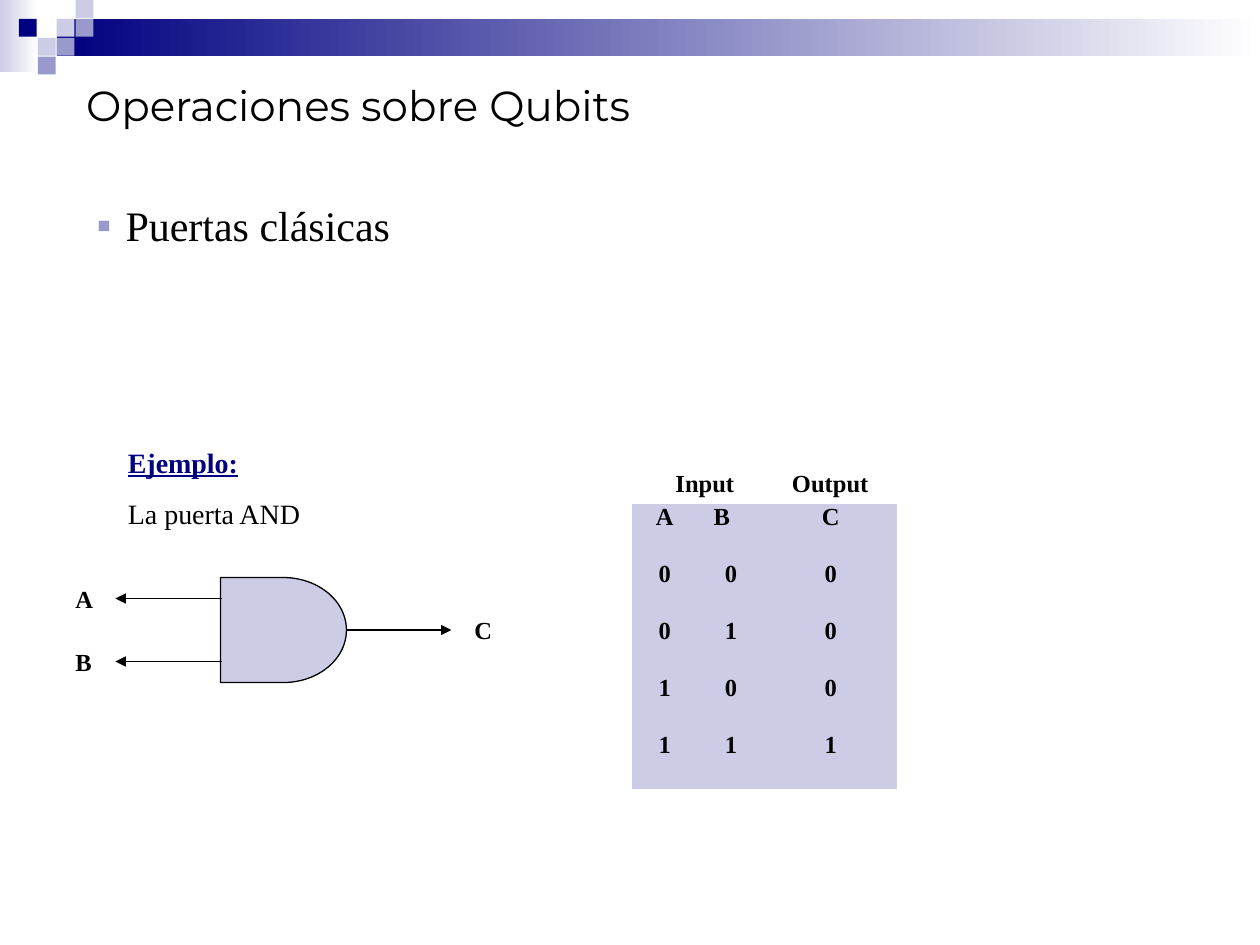
from dataclasses import dataclass

from lxml.etree import SubElement
from pptx import Presentation
from pptx.dml.color import RGBColor as Rgb
from pptx.enum.shapes import MSO_CONNECTOR as Link, MSO_SHAPE as Kind
from pptx.enum.text import MSO_ANCHOR as Anchor, MSO_AUTO_SIZE as Fit, PP_ALIGN as Align
from pptx.oxml.ns import qn
from pptx.util import Inches, Pt


@dataclass(frozen=True)
class Theme:
    """Colours, fonts and type sizes."""
    navy: Rgb = Rgb(0x00, 0x00, 0x80)
    mid: Rgb = Rgb(0x99, 0x99, 0xCC)
    pale: Rgb = Rgb(0xCC, 0xCC, 0xE6)
    white: Rgb = Rgb(0xFF, 0xFF, 0xFF)
    black: Rgb = Rgb(0x00, 0x00, 0x00)
    head: str = "Montserrat"
    body: str = "Times New Roman"
    large: int = 24
    lead: int = 16
    small: int = 14


THEME = Theme()
COLS, ROWS = 120, 90
WIDE, HIGH = 10, 7.5
PLAIN = "{2D5ABB26-0587-4C30-8999-92F81FD0307C}"


def span(*units):
    """Turn grid columns and rows into slide lengths."""
    return [Inches(unit * WIDE / COLS) for unit in units]


def style(para, size, font=THEME.body, bold=False, color=THEME.black, before=0):
    """Set the type of one paragraph."""
    para.font.size, para.font.name = Pt(size), font
    para.font.bold, para.font.color.rgb = bold, color
    para.space_before = Pt(before)


def block(slide, kind, box, color, fade=None):
    """Add a filled shape, faded to the right if asked."""
    shape = slide.shapes.add_shape(kind, *span(*box))
    shape.shadow.inherit = False
    shape.line.fill.background()
    if fade is None:
        shape.fill.solid()
        shape.fill.fore_color.rgb = color
    else:
        shape.fill.gradient()
        shape.fill.gradient_angle = 0
        for stop, tint in zip(shape.fill.gradient_stops, (color, fade)):
            stop.color.rgb = tint
    return shape


def note(slide, text, box):
    """Add a small bold label."""
    frame = slide.shapes.add_textbox(*span(*box)).text_frame
    frame.word_wrap = True
    frame.text = text
    style(frame.paragraphs[0], THEME.small, bold=True, before=8.8)


def arrow(slide, start, end):
    """Add a thin line with an arrowhead at its end."""
    line = slide.shapes.add_connector(Link.STRAIGHT, *span(*start, *end))
    line.line.color.rgb, line.line.width = THEME.black, Pt(0.75)
    SubElement(line.line._get_or_add_ln(), qn("a:tailEnd"), type="triangle")
    SubElement(line.element.spPr, qn("a:effectLst"))


def banner(slide, box):
    """Draw the fading bands and the squares at the top."""
    left, top, width, step = box
    block(slide, Kind.RECTANGLE, (left, top, 2 * step, 3.8 * step), THEME.pale, THEME.white)
    block(slide, Kind.RECTANGLE, (left + 3 * step, top + step, width - 3 * step, 3.5),
          THEME.navy, THEME.white)
    tiles = {
        THEME.pale: [(3, 1), (4, 0), (2, 2)],
        THEME.mid: [(4, 1), (3, 2), (2, 3)],
        THEME.navy: [(1, 1)],
    }
    for color, spots in tiles.items():
        for col, row in spots:
            block(slide, Kind.RECTANGLE,
                  (left + col * step, top + row * step, step - 0.1, step - 0.1), color)


def fill_holder(holder, text, box, font, before=0):
    """Place a placeholder and write its one line."""
    holder.left, holder.top, holder.width, holder.height = span(*box)
    frame = holder.text_frame
    frame.text, frame.word_wrap, frame.auto_size = text, True, Fit.NONE
    para = frame.paragraphs[0]
    para.alignment = Align.LEFT
    style(para, THEME.large, font, before=before)
    return frame


def heading(slide, box):
    """Write the title."""
    frame = fill_holder(slide.shapes.title, "Operaciones sobre Qubits", box, THEME.head)
    frame.vertical_anchor = Anchor.MIDDLE


def topic(slide, box):
    """Write the bulleted topic."""
    frame = fill_holder(slide.placeholders[1], "Puertas clásicas", box, THEME.body, 15)
    frame.vertical_anchor = Anchor.TOP
    props = frame.paragraphs[0]._p.get_or_add_pPr()
    indent = Inches(0.23)
    props.set("marL", str(indent))
    props.set("indent", str(-indent))
    tint = SubElement(props, qn("a:buClr"))
    SubElement(tint, qn("a:srgbClr"), val=str(THEME.mid))
    SubElement(props, qn("a:buChar"), char="▪")


def example(slide, box):
    """Write the example heading and its name."""
    frame = slide.shapes.add_textbox(*span(*box)).text_frame
    frame.word_wrap = True
    first, second = frame.paragraphs[0], frame.add_paragraph()
    first.text, second.text = "Ejemplo:", "La puerta AND"
    style(first, THEME.lead, bold=True, color=THEME.navy, before=10)
    first.font.underline = True
    style(second, THEME.lead, before=10)


def gate(slide, box):
    """Draw the AND gate with its wires and labels."""
    left, top, width, height = box
    body = block(slide, Kind.FLOWCHART_DELAY, box, THEME.pale)
    body.line.color.rgb, body.line.width = THEME.black, Pt(0.75)
    wire, label = 10, (4, 4.08)
    for name, share in (("A", 0.2), ("B", 0.8)):
        row = top + share * height
        arrow(slide, (left + 0.1, row), (left - wire, row))
        note(slide, name, (left - wire - 5, row - 2, *label))
    right, row = left + width, top + height / 2
    arrow(slide, (right, row), (right + wire, row))
    note(slide, "C", (right + wire + 1, row - 2, *label))


def truth(slide, box):
    """Build the truth table under its two headings."""
    left, top, width, height = box
    rows = ["ABC"] + [f"{a}{b}{a & b}" for a in (0, 1) for b in (0, 1)]
    frame = slide.shapes.add_table(len(rows), 3, *span(*box))
    table = frame.table
    table.first_row = table.horz_banding = False
    next(frame.element.iter(qn("a:tableStyleId"))).text = PLAIN
    for col, share in zip(table.columns, (0.25, 0.25, 0.5)):
        col.width = span(share * width)[0]
    for r, row in enumerate(rows):
        for c, mark in enumerate(row):
            cell = table.cell(r, c)
            cell.fill.solid()
            cell.fill.fore_color.rgb = THEME.pale
            cell.text = mark
            para = cell.text_frame.paragraphs[0]
            para.alignment, para.line_spacing = Align.CENTER, 0.68
            style(para, THEME.small, bold=True, before=3.5)
    table.cell(0, 1).margin_right = Inches(0.25)
    note(slide, "Input", (left + 3, top - 4, 8.8, 4.08))
    note(slide, "Output", (left + 14.1, top - 4, 11, 4.08))


def main():
    """Build and save the slide."""
    deck = Presentation()
    deck.slide_width, deck.slide_height = Inches(WIDE), Inches(HIGH)
    slide = deck.slides.add_slide(deck.slide_layouts[1])
    banner(slide, (0, 0, COLS, 1.8))
    heading(slide, (7, 7, 108, 6))
    topic(slide, (8, 18.4, 101, 6))
    example(slide, (11, 41.8, 20, 9.2))
    gate(slide, (21, 55, 12, 10))
    truth(slide, (60.15, 48, 25.3, 27.15))
    deck.save("out.pptx")


if __name__ == "__main__":
    main()
